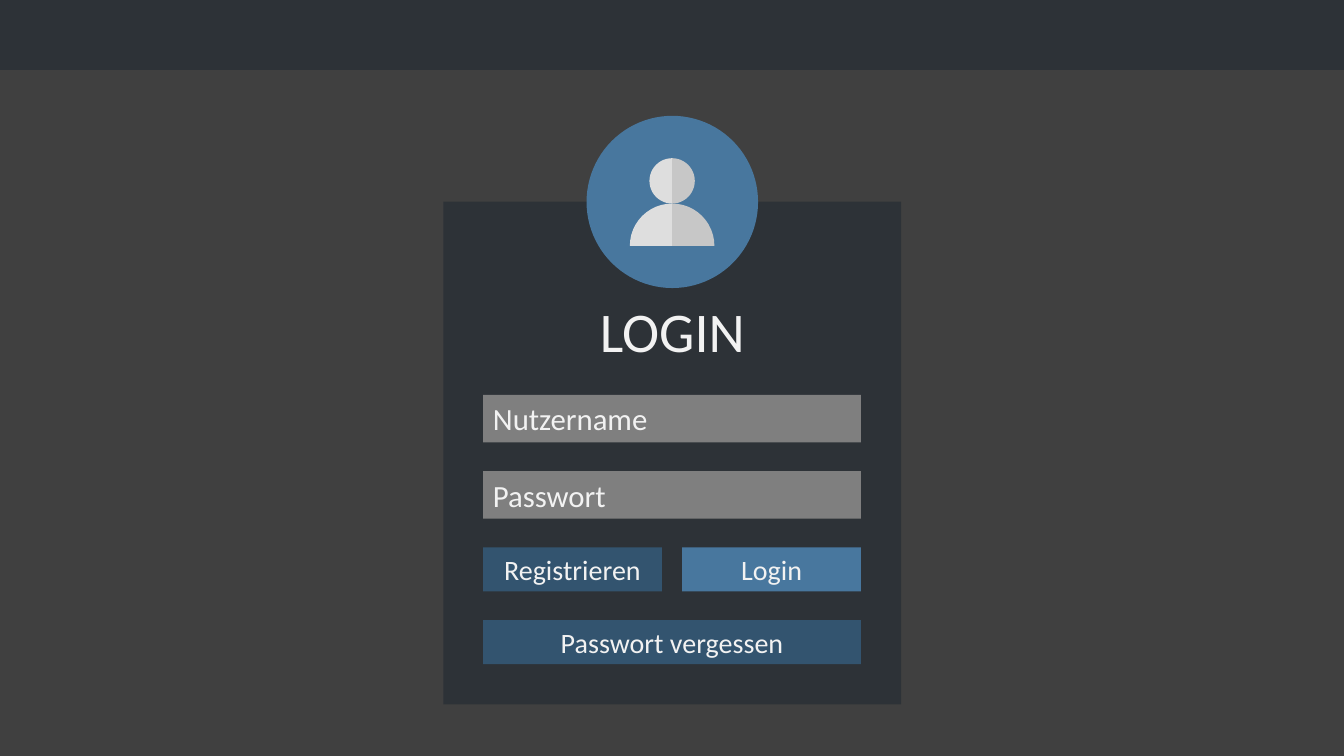
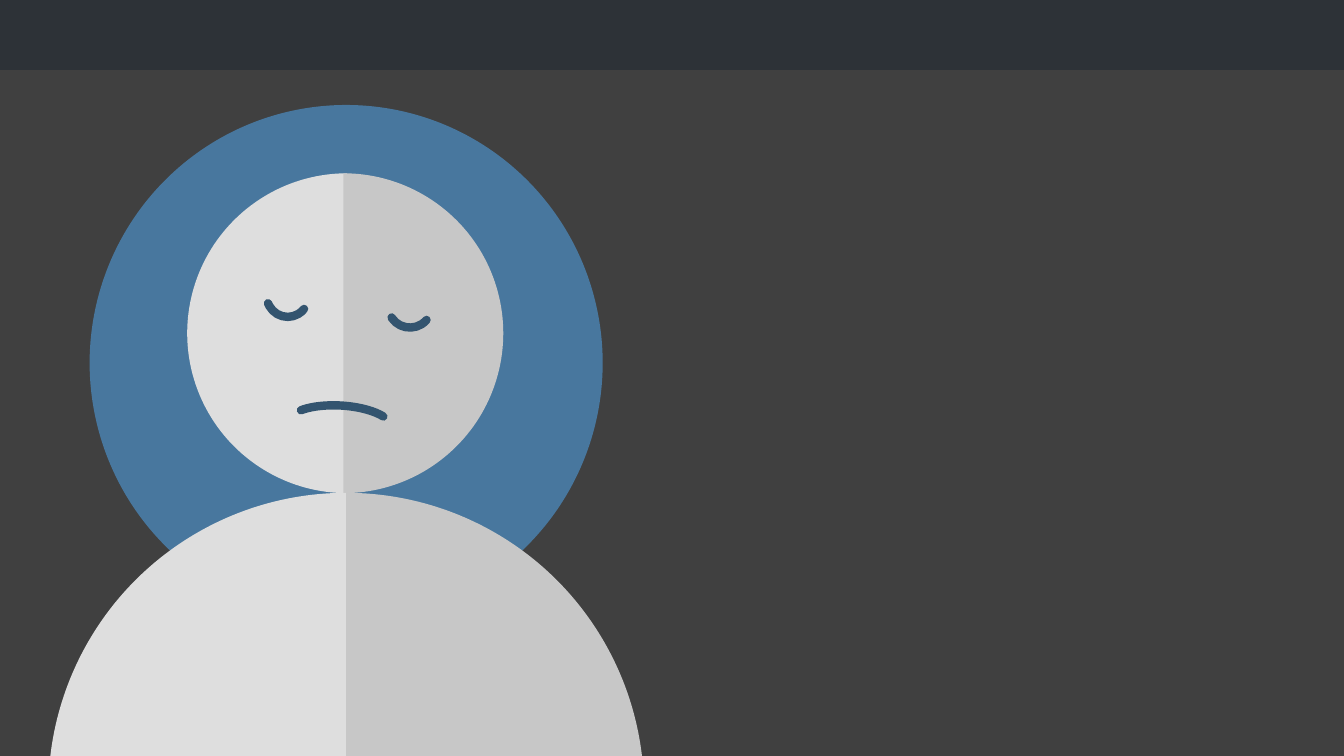
from pptx import Presentation
from pptx.dml.color import RGBColor
from pptx.enum import shapes, text
from pptx.util import Pt

WIDTH, HEIGHT, BAND_HEIGHT = 960, 540, 50
FONT = "Calibri"
COLORS = {
    "back": "404040", "panel": "2D3237", "blue": "48779E", "navy": "33546F",
    "light": "DEDEDE", "shade": "C7C7C7", "field": "7F7F7F", "ink": "F2F2F2",
}
KIND = shapes.MSO_SHAPE
LEFT, CENTER = text.PP_ALIGN.LEFT, text.PP_ALIGN.CENTER

# Login form: rows of (label, fill); boxes within a row share its width
TITLE = "LOGIN"
CARD = (316.75, 144, 327, 359.25)
TITLE_TOP, TITLE_HEIGHT = 208, 55.5
ROWS = [
    (34, 22, LEFT, [("Nutzername", "field")]),
    (34, 22, LEFT, [("Passwort", "field")]),
    (31.5, 20, CENTER, [("Registrieren", "navy"), ("Login", "blue")]),
    (31.5, 20, CENTER, [("Passwort vergessen", "navy")]),
]
FORM_LEFT, FORM_TOP, FORM_WIDTH = 345, 282, 270
ROW_GAP, BUTTON_GAP = 20.5, 14.5

# Figures: disc frame; head and body as (left, top, diameter); shift of the head's shaded half
SMALL_USER = {"disc": (419, 82.75, 122.5, 123), "head": (463.9, 113, 32.4),
              "body": (449.9, 145.4, 60.4), "shift": 0}
BIG_USER = {"disc": (64, 75, 366.5, 368.5), "head": (133.75, 123.75, 228.5),
            "body": (34.5, 352, 425.5), "shift": -2.75}

# Face lines: frame, rotation, start and end angle in degrees
FACE = {
    "mouth": ((228.25, 266.5, 28.75, 75), 273.1, 288.6, 75.1),
    "left eye": ((190, 195.75, 31, 30.25), 90, 310.1, 67.7),
    "right eye": ((278.5, 204.5, 28.75, 30.25), 86.9, 310.3, 64.6),
}
FACE_LINE = 6


def color(name):
    """Return the named colour."""
    return RGBColor.from_string(COLORS[name])


def add_shape(page, kind, frame, fill, angles=()):
    """Add a flat shape without outline; angles are in degrees."""
    shape = page.shapes.add_shape(kind, *map(Pt, frame))
    shape.shadow.inherit = False
    shape.line.fill.background()
    if fill:
        shape.fill.solid()
        shape.fill.fore_color.rgb = color(fill)
    else:
        shape.fill.background()
    for index, angle in enumerate(angles):
        shape.adjustments[index] = angle * 0.6
    return shape


def write(box, words, size, align):
    """Put one line of text into a box."""
    frame = box.text_frame
    frame.word_wrap = True
    frame.vertical_anchor = text.MSO_ANCHOR.MIDDLE
    para = frame.paragraphs[0]
    para.text = words
    para.alignment = align
    para.font.name = FONT
    para.font.size = Pt(size)
    para.font.color.rgb = color("ink")


def add_page(deck):
    """Add a page with the shared background and top band."""
    page = deck.slides.add_slide(deck.slide_layouts[6])
    page.background.fill.solid()
    page.background.fill.fore_color.rgb = color("back")
    add_shape(page, KIND.RECTANGLE, (0, 0, WIDTH, BAND_HEIGHT), "panel")
    return page


def add_user(page, user):
    """Draw a two-tone user figure on a disc."""
    add_shape(page, KIND.OVAL, user["disc"], "blue")
    for part, spread, shift in (("head", 180, user["shift"]), ("body", 90, 0)):
        left, top, size = user[part]
        add_shape(page, KIND.PIE, (left, top, size, size), "light", (270 - spread, 270))
        add_shape(page, KIND.PIE, (left + shift, top, size, size), "shade",
                  (270, (270 + spread) % 360))


def add_form(page):
    """Draw the title, input fields and buttons of the login card."""
    title = page.shapes.add_textbox(
        *map(Pt, (CARD[0], TITLE_TOP, CARD[2], TITLE_HEIGHT)))
    write(title, TITLE, 40, CENTER)
    top = FORM_TOP
    for height, size, align, cells in ROWS:
        width = (FORM_WIDTH + BUTTON_GAP) / len(cells) - BUTTON_GAP
        for column, (label, fill) in enumerate(cells):
            left = FORM_LEFT + column * (width + BUTTON_GAP)
            box = add_shape(page, KIND.RECTANGLE, (left, top, width, height), fill)
            write(box, label, size, align)
        top += height + ROW_GAP


def add_face(page):
    """Draw the eyes and mouth as round-ended arcs."""
    for frame, rotation, start, end in FACE.values():
        arc = add_shape(page, KIND.ARC, frame, None, (start, end))
        arc.rotation = rotation
        arc.line.color.rgb = color("navy")
        arc.line.width = Pt(FACE_LINE)
        arc.line._get_or_add_ln().set("cap", "rnd")


deck = Presentation()
deck.slide_width, deck.slide_height = Pt(WIDTH), Pt(HEIGHT)

login_page = add_page(deck)
add_shape(login_page, KIND.RECTANGLE, CARD, "panel")
add_user(login_page, SMALL_USER)
add_form(login_page)

face_page = add_page(deck)
add_user(face_page, BIG_USER)
add_face(face_page)

deck.save("out.pptx")
